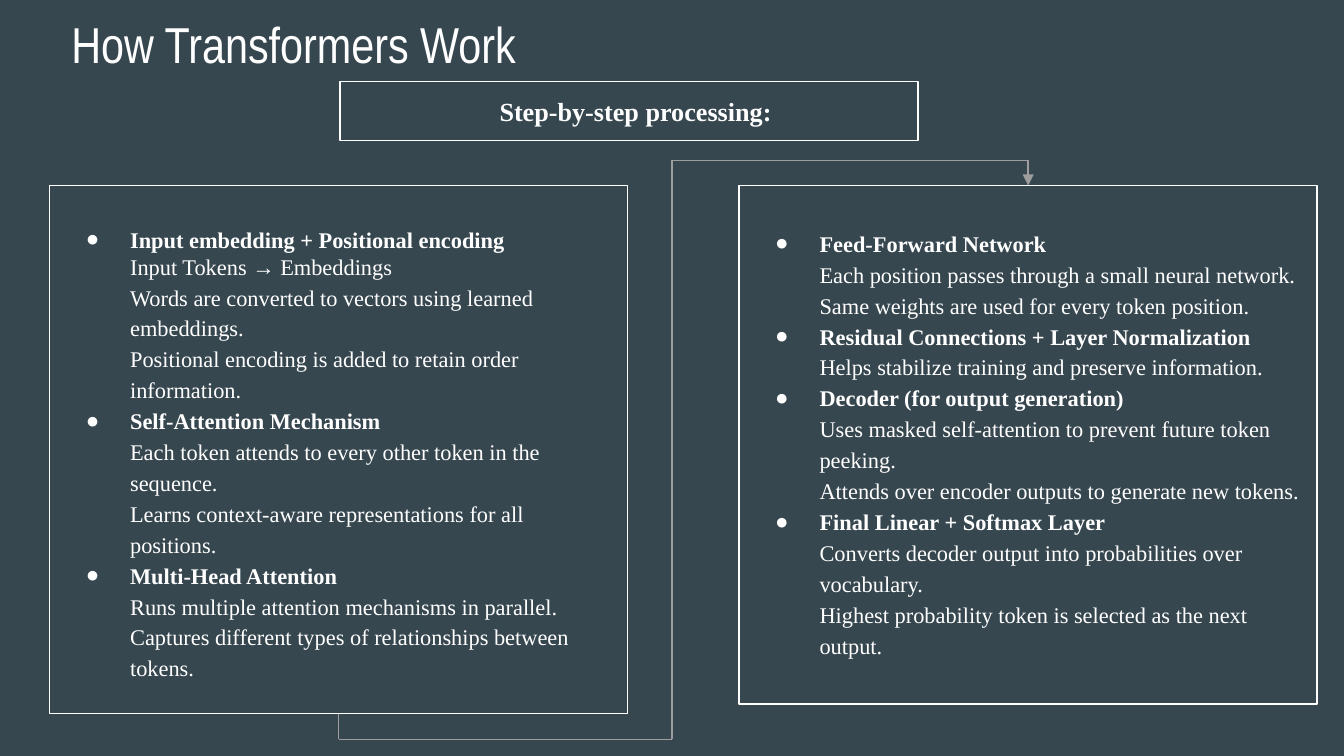
from dataclasses import dataclass
from itertools import pairwise

from lxml import etree
from pptx import Presentation, util as u
from pptx.dml.color import RGBColor
from pptx.enum import shapes, text
from pptx.oxml.ns import qn

WIDE = u.Inches(10)
HIGH = WIDE * 9 // 16
BACK, WHITE, GREY = "37474F", "FFFFFF", "9E9E9E"
SERIF, NARROW = "Times New Roman", "Arial Narrow"
PAD = 0.1


@dataclass
class Box:
    """Left, top, width and height in percent of the slide."""
    x: float
    y: float
    w: float
    h: float

    @property
    def mid(self) -> float:
        return self.x + self.w / 2

    @property
    def base(self) -> float:
        return self.y + self.h


@dataclass
class Step:
    head: str
    lines: list[str]
    gap: float = 1.15  # line spacing of the head and its first line


@dataclass
class Panel:
    box: Box
    steps: list[Step]


TITLE = Box(3.4, 0, 93.2, 9.8)
BANNER = Box(25.3, 10.8, 43, 7.8)
LEFT = Panel(Box(3.7, 24.55, 43, 69.85), [
    Step("Input embedding + Positional encoding", [
        "Input Tokens → Embeddings",
        "Words are converted to vectors using learned embeddings.",
        "Positional encoding is added to retain order information.",
    ], gap=1),
    Step("Self-Attention Mechanism", [
        "Each token attends to every other token in the sequence.",
        "Learns context-aware representations for all positions.",
    ]),
    Step("Multi-Head Attention", [
        "Runs multiple attention mechanisms in parallel.",
        "Captures different types of relationships between tokens.",
    ]),
])
RIGHT = Panel(Box(55, 24.55, 43, 68.6), [
    Step("Feed-Forward Network", [
        "Each position passes through a small neural network.",
        "Same weights are used for every token position.",
    ]),
    Step("Residual Connections + Layer Normalization", [
        "Helps stabilize training and preserve information.",
    ]),
    Step("Decoder (for output generation)", [
        "Uses masked self-attention to prevent future token peeking.",
        "Attends over encoder outputs to generate new tokens.",
    ]),
    Step("Final Linear + Softmax Layer", [
        "Converts decoder output into probabilities over vocabulary.",
        "Highest probability token is selected as the next output.",
    ]),
])


def color(code: str) -> RGBColor:
    return RGBColor.from_string(code)


def col(share: float) -> int:
    return round(WIDE * share / 100)


def row(share: float) -> int:
    return round(HIGH * share / 100)


def place(box: Box) -> tuple[int, int, int, int]:
    return col(box.x), row(box.y), col(box.w), row(box.h)


def setup(frame, left: float = PAD, top: float = PAD,
          anchor=text.MSO_ANCHOR.TOP) -> None:
    frame.word_wrap = True
    frame.vertical_anchor = anchor
    frame.margin_left, frame.margin_top = u.Inches(left), u.Inches(top)
    frame.margin_right = frame.margin_bottom = u.Inches(PAD)


def style(para, size: float, face: str = SERIF, bold: bool = False,
          align=text.PP_ALIGN.LEFT) -> None:
    para.alignment = align
    for run in para.runs:
        font = run.font
        font.size, font.name, font.bold = u.Pt(size), face, bold
        font.color.rgb = color(WHITE)


def indent(para, bullet: bool) -> None:
    props = para._p.get_or_add_pPr()
    props.set("marL", str(u.Inches(0.5)))
    props.set("indent", str(u.Inches(-0.33) if bullet else 0))
    if bullet:
        tint = etree.SubElement(props, qn("a:buClr"))
        etree.SubElement(tint, qn("a:srgbClr"), val=WHITE)
        etree.SubElement(props, qn("a:buFont"), typeface=SERIF)
        etree.SubElement(props, qn("a:buChar"), char="●")
    else:
        etree.SubElement(props, qn("a:buNone"))


def frame_box(slide, box: Box):
    shape = slide.shapes.add_shape(shapes.MSO_SHAPE.RECTANGLE, *place(box))
    shape.shadow.inherit = False
    shape.fill.background()
    shape.line.color.rgb = color(WHITE)
    shape.line.width = u.Pt(0.75)
    return shape


def draw_panel(slide, panel: Panel):
    shape = frame_box(slide, panel.box)
    frame = shape.text_frame
    setup(frame, top=0.3)
    rows = []
    for step in panel.steps:
        rows.append((step.head, True, step.gap))
        for num, line in enumerate(step.lines):
            rows.append((line, False, 1.15 if num else step.gap))
    frame.text = "\n".join(words for words, _, _ in rows)
    for para, (_, head, gap) in zip(frame.paragraphs, rows):
        para.line_spacing = gap
        style(para, 12, bold=head)
        indent(para, head)
    return shape


def draw_route(slide, start, end, points: list[tuple[float, float]]) -> None:
    """Join the bottom of start to the top of end, with an arrowhead."""
    parts = []
    for (x, y), (to_x, to_y) in pairwise(points):
        part = slide.shapes.add_connector(
            shapes.MSO_CONNECTOR.STRAIGHT, col(x), row(y), col(to_x), row(to_y))
        part.line.color.rgb = color(GREY)
        part.line.width = u.Pt(0.75)
        parts.append(part)
    parts[0].begin_connect(start, 2)
    parts[-1].end_connect(end, 0)
    etree.SubElement(parts[-1].line._get_or_add_ln(), qn("a:tailEnd"),
                     type="triangle")
    for part in parts:
        etree.SubElement(part._element.spPr, qn("a:effectLst"))


def main() -> None:
    deck = Presentation()
    deck.slide_width, deck.slide_height = WIDE, HIGH
    slide = deck.slides.add_slide(deck.slide_layouts[6])
    slide.background.fill.solid()
    slide.background.fill.fore_color.rgb = color(BACK)

    title = slide.shapes.add_textbox(*place(TITLE)).text_frame
    setup(title, left=0.19)
    title.text = "How Transformers Work"
    style(title.paragraphs[0], 27, NARROW)

    start = draw_panel(slide, LEFT)
    banner = frame_box(slide, BANNER).text_frame
    setup(banner, left=0.2, anchor=text.MSO_ANCHOR.MIDDLE)
    banner.text = "Step-by-step processing:"
    style(banner.paragraphs[0], 14, bold=True, align=text.PP_ALIGN.CENTER)
    end = draw_panel(slide, RIGHT)

    low, top, lane = 97.8, 21.2, 50
    a, b = LEFT.box, RIGHT.box
    draw_route(slide, start, end, [
        (a.mid, a.base), (a.mid, low), (lane, low),
        (lane, top), (b.mid, top), (b.mid, b.y)])
    deck.save("out.pptx")


if __name__ == "__main__":
    main()
